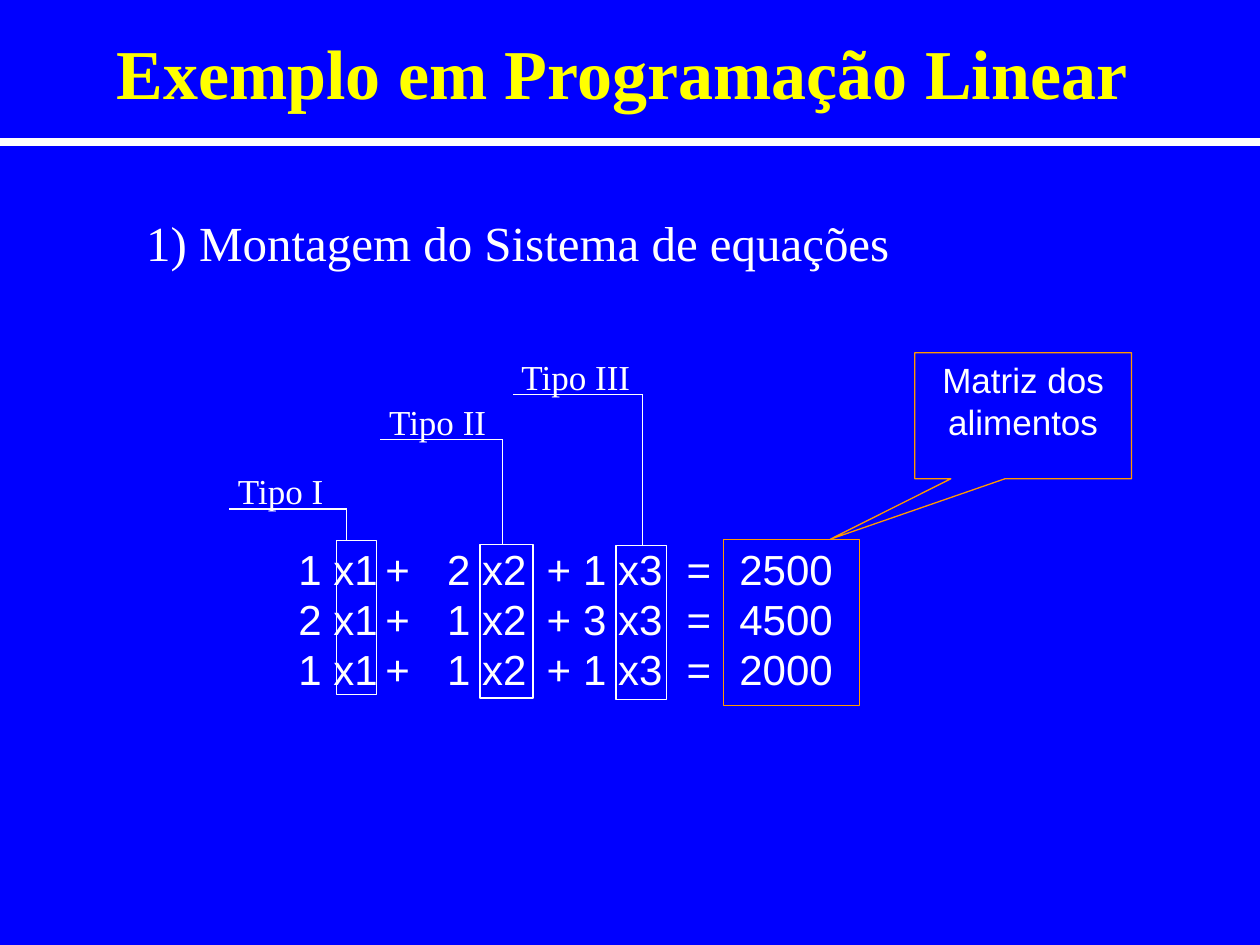
from dataclasses import dataclass

from lxml import etree
from pptx import Presentation
from pptx.dml.color import RGBColor
from pptx.enum.shapes import MSO_CONNECTOR, MSO_SHAPE
from pptx.enum.text import MSO_ANCHOR, MSO_AUTO_SIZE, PP_ALIGN
from pptx.oxml.ns import qn
from pptx.util import Inches, Pt

STRAIGHT = MSO_CONNECTOR.STRAIGHT
RECTANGLE = MSO_SHAPE.RECTANGLE
CALLOUT = MSO_SHAPE.RECTANGULAR_CALLOUT
TOP, MIDDLE = MSO_ANCHOR.TOP, MSO_ANCHOR.MIDDLE
LEFT, CENTER = PP_ALIGN.LEFT, PP_ALIGN.CENTER
NO_AUTOSIZE = MSO_AUTO_SIZE.NONE


@dataclass(frozen=True)
class Theme:
    """Colours, fonts and point sizes of the slide."""
    background: RGBColor = RGBColor(0x00, 0x00, 0xFF)
    title: RGBColor = RGBColor(0xFF, 0xFF, 0x00)
    text: RGBColor = RGBColor(0xFF, 0xFF, 0xFF)
    accent: RGBColor = RGBColor(0xFF, 0x99, 0x00)
    serif: str = "Times New Roman"
    sans: str = "Arial"
    title_size: int = 40
    body_size: int = 28
    equation_size: int = 24
    label_size: int = 20
    thin: float = 0.75
    thick: float = 4.5


THEME = Theme()
EQUATION_TABS = (0.69, 1.38, 1.87, 2.66, 2.95, 3.77, 4.19)
EQUATIONS = (((1, 2, 1), 2500), ((2, 1, 3), 4500), ((1, 1, 1), 2000))
FOOD_TYPES = (
    ("Tipo I", 1.79, 1.0, 4.04, 2.75, (2.67, 4.29, 0.32, 1.22)),
    ("Tipo II", 2.99, 1.04, 3.49, 3.99, (3.81, 4.32, 0.42, 1.22)),
    ("Tipo III", 4.04, 1.15, 3.13, 5.1, (4.89, 4.33, 0.4, 1.22)),
)


def place(shape, area):
    """Move and size a shape from a tuple in inches."""
    shape.left, shape.top, shape.width, shape.height = map(Inches, area)


def write(shape, lines, font, size, color, align=LEFT, anchor=TOP, bold=False, tabs=()):
    """Fill a shape with formatted paragraphs."""
    frame = shape.text_frame
    frame.text = "\n".join(lines)
    frame.word_wrap = True
    frame.auto_size = NO_AUTOSIZE
    frame.vertical_anchor = anchor
    for para in frame.paragraphs:
        para.alignment = align
        para.space_before = Pt(0)
        if tabs:
            add_tabs(para, tabs)
        for span in para.runs:
            span.font.name = font
            span.font.size = Pt(size)
            span.font.bold = bold
            span.font.color.rgb = color


def add_tabs(para, stops):
    """Give a paragraph left tab stops in inches."""
    tab_list = etree.SubElement(para._p.get_or_add_pPr(), qn("a:tabLst"))
    for stop in stops:
        etree.SubElement(tab_list, qn("a:tab"), pos=str(Inches(stop)), algn="l")


def remove_bullet(para):
    """Set a paragraph flush left without a bullet."""
    properties = para._p.get_or_add_pPr()
    properties.set("marL", "0")
    properties.set("indent", "0")
    etree.SubElement(properties, qn("a:buNone"))


def add_text(page, area, lines, font, size, **options):
    """Add a text box."""
    box = page.shapes.add_textbox(*map(Inches, area))
    write(box, lines, font, size, THEME.text, **options)


def add_outline(page, kind, area, color):
    """Add an unfilled shape with a thin outline."""
    shape = page.shapes.add_shape(kind, *map(Inches, area))
    shape.shadow.inherit = False
    shape.fill.background()
    shape.line.color.rgb = color
    shape.line.width = Pt(THEME.thin)
    return shape


def add_line(page, start, end, width=THEME.thin):
    """Add a straight white line without a shadow."""
    line = page.shapes.add_connector(STRAIGHT, *map(Inches, start + end))
    line.line.color.rgb = THEME.text
    line.line.width = Pt(width)
    etree.SubElement(line._element.spPr, qn("a:effectLst"))


def add_food_type(page, name, left, width, bar, stem, column):
    """Frame a variable column and tie it to its label."""
    add_outline(page, RECTANGLE, column, THEME.text)
    add_line(page, (stem, column[1]), (stem, bar))
    add_line(page, (stem, bar), (left + 0.03, bar))
    add_text(page, (left, bar - 0.36, width, 0.44), [name], THEME.serif, THEME.label_size)


def equation_line(factors, total):
    """Return one equation with its parts set on tab stops."""
    terms = [f"{factor} x{index}" for index, factor in enumerate(factors, 1)]
    return "\t" + "\t+\t".join(terms) + f"\t=\t{total}"


def add_callout(page):
    """Add the callout that names the result column."""
    callout = add_outline(page, CALLOUT, (7.26, 2.8, 1.72, 1), THEME.accent)
    callout.adjustments[0] = -0.89
    callout.adjustments[1] = 0.98
    write(callout, ["Matriz dos alimentos"], THEME.sans, THEME.label_size, THEME.text, CENTER)


def main():
    """Build and save the slide."""
    deck = Presentation()
    deck.slide_width, deck.slide_height = Inches(10), Inches(7.5)
    page = deck.slides.add_slide(deck.slide_layouts[1])
    page.background.fill.solid()
    page.background.fill.fore_color.rgb = THEME.background

    title, body = page.placeholders
    place(title, (0.28, 0.25, 9.31, 0.64))
    write(title, ["Exemplo em Programação Linear"], THEME.serif, THEME.title_size,
          THEME.title, CENTER, MIDDLE, bold=True)
    add_line(page, (0, 1.13), (10, 1.13), THEME.thick)
    place(body, (1.06, 1.64, 7.47, 0.57))
    write(body, ["1) Montagem do Sistema de equações"], THEME.serif, THEME.body_size, THEME.text)
    remove_bullet(body.text_frame.paragraphs[0])

    add_text(page, (1.58, 4.26, 5.81, 1.3), [equation_line(*row) for row in EQUATIONS],
             THEME.sans, THEME.equation_size, anchor=MIDDLE, tabs=EQUATION_TABS)
    for food_type in FOOD_TYPES:
        add_food_type(page, *food_type)
    add_outline(page, RECTANGLE, (5.74, 4.28, 1.08, 1.32), THEME.accent)
    add_callout(page)
    deck.save("out.pptx")


if __name__ == "__main__":
    main()
